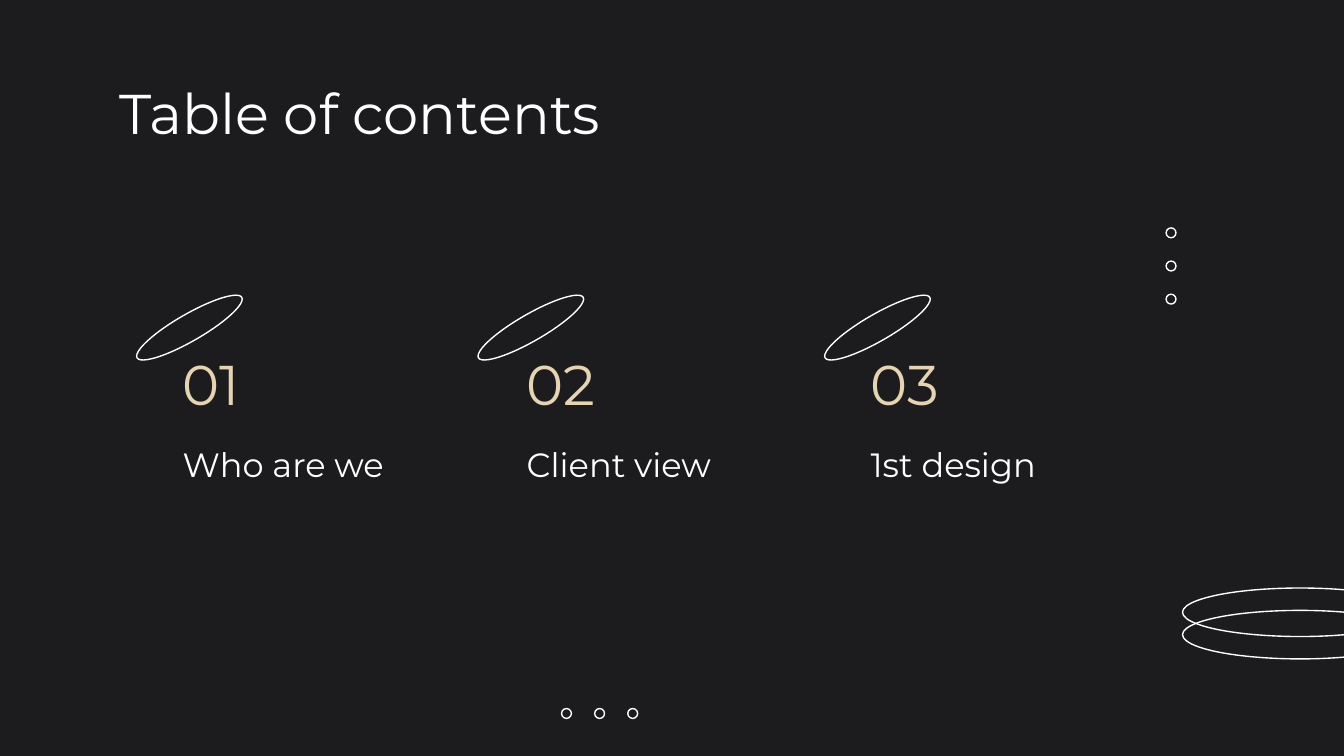
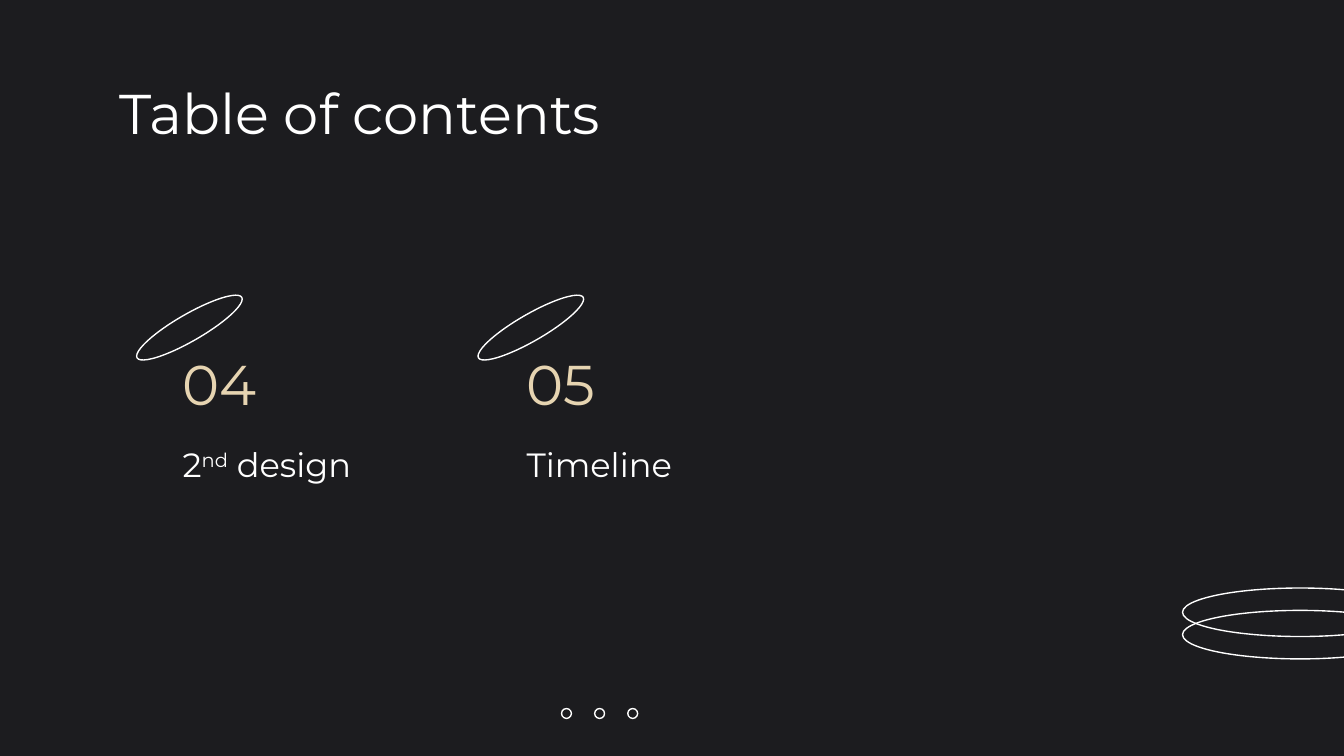
import pptx
import pptx.dml.color
import pptx.enum.shapes
import pptx.enum.text
import pptx.util

Pt = pptx.util.Pt
RGB = pptx.dml.color.RGBColor.from_string
ANCHOR = pptx.enum.text.MSO_ANCHOR

COLORS = {"background": "1C1C1F", "text": "FFFFFF", "number": "E6D4B1"}
FONT = "Montserrat"
ENTRY_LEFT, ENTRY_STEP = 90.7, 184.3
RING_LEFTS = (69.1, 252, 437.7)
DOT_SIZE, DOT_STEP = 5.3, 17.75


def add_ring(s, left, top, width, height, rotation=0):
    """Add an unfilled ellipse with a thin outline."""
    sp = s.shapes.add_shape(pptx.enum.shapes.MSO_SHAPE.OVAL,
                            Pt(left), Pt(top), Pt(width), Pt(height))
    sp.shadow.inherit = False
    sp.fill.background()
    sp.line.color.rgb = RGB(COLORS["text"])
    sp.line.width = Pt(0.75)
    sp.rotation = rotation


def add_dots(s, left, top, dx=0, dy=0):
    """Add three small rings in a row or a column."""
    for i in range(3):
        add_ring(s, left + i * dx, top + i * dy, DOT_SIZE, DOT_SIZE)


def add_text(s, box, parts, size, color="text", anchor=ANCHOR.TOP):
    """Add one line of text in which every second part is raised."""
    tf = s.shapes.add_textbox(*map(Pt, box)).text_frame
    tf.word_wrap = True
    tf.vertical_anchor = anchor
    tf.margin_left = tf.margin_right = Pt(7.2)
    tf.margin_top = tf.margin_bottom = Pt(7.2)
    for i, part in enumerate(parts):
        r = tf.paragraphs[0].add_run()
        r.text = part
        r.font.name = FONT
        r.font.size = Pt(size)
        r.font.color.rgb = RGB(COLORS[color])
        if i % 2:
            r.font._element.set("baseline", "30000")


def add_entry(s, column, number, parts):
    """Add a tilted ring, a number and a section name in a column."""
    left = ENTRY_LEFT + column * ENTRY_STEP
    add_ring(s, RING_LEFTS[column], 168.3, 64.8, 14.4, 330)
    add_text(s, (left, 183, 66.2, 47.5), [f"{number:02}"], 30, "number", ANCHOR.BOTTOM)
    add_text(s, (left, 230.5, 164.9, 38.9), parts, 18)


def add_contents_slide(prs, first, entries):
    """Add a contents slide whose numbering starts at first."""
    s = prs.slides.add_slide(prs.slide_layouts[6])
    s.background.fill.solid()
    s.background.fill.fore_color.rgb = RGB(COLORS["background"])
    for top in (327, 315):
        add_ring(s, 633.5, top, 126, 26)
    add_dots(s, 300.8, 379.6, dx=DOT_STEP)
    add_text(s, (56.7, 35.1, 607, 45.1), ["Table of contents"], 30)
    for column, parts in enumerate(entries):
        add_entry(s, column, first + column, parts)
    return s


def main():
    """Build and save the two contents slides."""
    prs = pptx.Presentation()
    prs.slide_width, prs.slide_height = Pt(720), Pt(405)
    s = add_contents_slide(prs, 1, [["Who are we"], ["Client view"], ["1st design"]])
    add_dots(s, 624.7, 122.1, dy=DOT_STEP)
    add_contents_slide(prs, 4, [["2", "nd", " design"], ["Timeline"]])
    prs.save("out.pptx")


if __name__ == "__main__":
    main()
